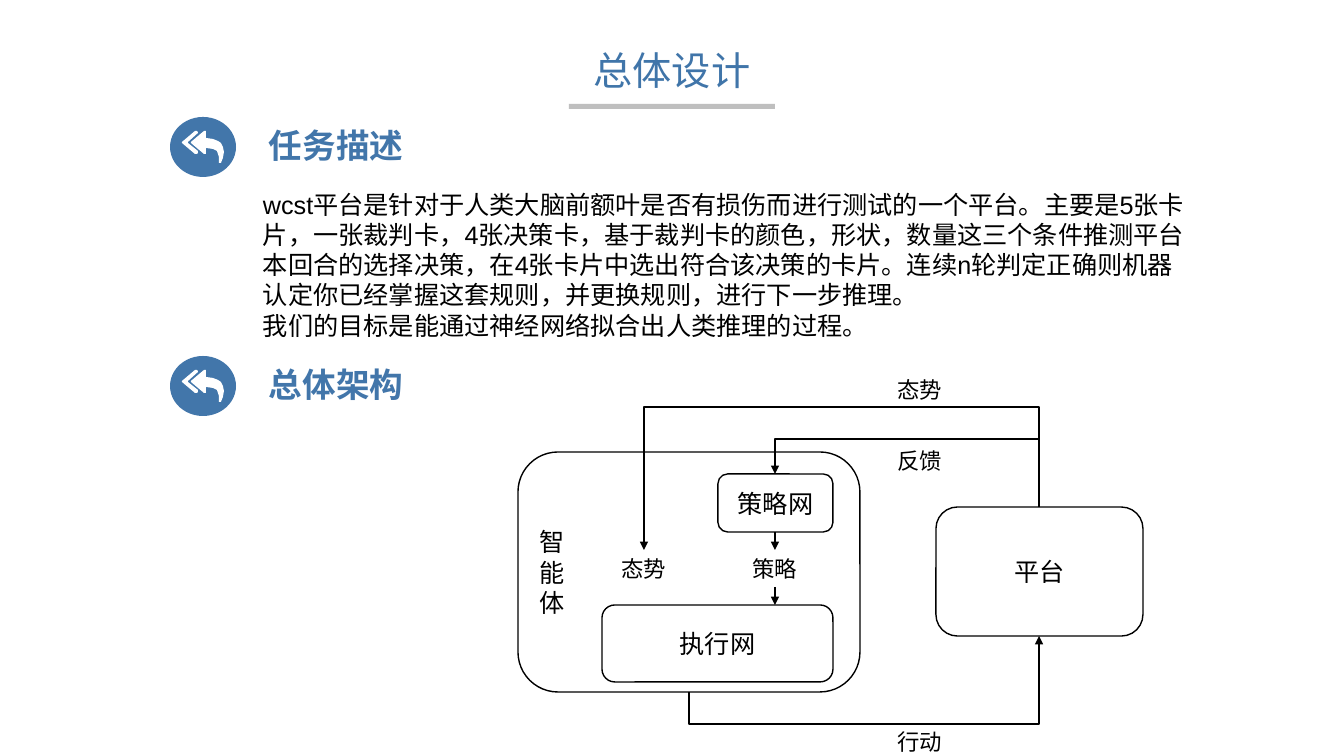
"""Build the overall design slide with its task description and architecture diagram."""
from pptx import Presentation
from pptx.dml.color import RGBColor
from pptx.enum.shapes import MSO_CONNECTOR, MSO_SHAPE
from pptx.enum.text import MSO_ANCHOR, PP_ALIGN
from pptx.oxml.ns import qn
from pptx.util import Pt
from lxml.etree import SubElement

PX = 914400 / 100.8
COLORS = {"title": "4075A9", "accent": "4276AA", "rule": "BFBFBF", "ink": "000000", "paper": "FFFFFF"}
RGB = {name: RGBColor.from_string(value) for name, value in COLORS.items()}

prs = Presentation()
prs.slide_width, prs.slide_height = round(1344 * PX), round(756 * PX)
s = prs.slides.add_slide(prs.slide_layouts[6])


def add_text(text, box, size=18, color="ink", bold=False, align=PP_ALIGN.LEFT,
             anchor=MSO_ANCHOR.TOP, inset=(10, 5), wrap=True, spacing=None, outlined=False):
    place = [round(v * PX) for v in box]
    if outlined:
        sp = s.shapes.add_shape(MSO_SHAPE.ROUNDED_RECTANGLE, *place)
        sp.shadow.inherit = False
        sp.fill.background()
        sp.line.color.rgb = RGB["ink"]
        sp.line.width = Pt(1)
    else:
        sp = s.shapes.add_textbox(*place)
    tf = sp.text_frame
    tf.word_wrap = wrap
    tf.vertical_anchor = anchor
    tf.margin_left = tf.margin_right = round(inset[0] * PX)
    tf.margin_top = tf.margin_bottom = round(inset[1] * PX)
    for i, line in enumerate(text.split("\n")):
        p = tf.paragraphs[0] if i == 0 else tf.add_paragraph()
        p.alignment = align
        p.line_spacing = spacing
        r = p.add_run()
        r.text = line
        r.font.name = "Arial"
        r.font.size = Pt(size)
        r.font.bold = bold
        r.font.color.rgb = RGB[color]


def add_arrow(start, end, bend=None, turn=0, flips=()):
    (x1, y1), (x2, y2) = start, end
    kind, ends = MSO_CONNECTOR.STRAIGHT, (x1, y1, x2, y2)
    if bend is not None:
        kind = MSO_CONNECTOR.ELBOW
        cx, cy, half_w, half_h = (x1 + x2) / 2, (y1 + y2) / 2, abs(y2 - y1) / 2, abs(x2 - x1) / 2
        ends = cx - half_w, cy - half_h, cx + half_w, cy + half_h
    line = s.shapes.add_connector(kind, *[round(v * PX) for v in ends])
    line.line.color.rgb = RGB["ink"]
    line.line.width = Pt(1)
    SubElement(line.line._get_or_add_ln(), qn("a:tailEnd"), type="triangle")
    spPr = line._element.spPr
    SubElement(spPr, qn("a:effectLst"))
    if bend is not None:
        xfrm = spPr.find(qn("a:xfrm"))
        xfrm.set("rot", str(turn * 60000))
        for flip in flips:
            xfrm.set(flip, "1")
        adjust = round((bend - y1) / (y2 - y1) * 100000)
        SubElement(spPr.find(qn("a:prstGeom")).find(qn("a:avLst")), qn("a:gd"),
                   name="adj1", fmla=f"val {adjust}")


add_text("总体设计", (374, 22, 596, 73), size=28, color="title", align=PP_ALIGN.CENTER,
         anchor=MSO_ANCHOR.MIDDLE, spacing=1.5)
rule = s.shapes.add_shape(MSO_SHAPE.RECTANGLE, *[round(v * PX) for v in (569, 104, 206, 5)])
rule.shadow.inherit = False
rule.fill.solid()
rule.fill.fore_color.rgb = RGB["rule"]
rule.line.fill.background()

CHEVRON = [(29, 36), (28, 37), (26, 37), (13, 26), (13, 25), (26, 14), (28, 14), (29, 15),
           (29, 16), (19, 25), (19, 26), (29, 34)]
REPLY = [(52, 46), (50, 46), (50, 40), (48, 34), (44, 32), (37, 31), (37, 37), (35, 37),
         (22, 26), (22, 25), (35, 14), (37, 14), (37, 21), (44, 22), (49, 24), (52, 26),
         (54, 30), (55, 35), (54, 41)]
for heading, top in (("任务描述", 117), ("总体架构", 356)):
    disc = s.shapes.add_shape(MSO_SHAPE.OVAL, *[round(v * PX) for v in (170, top, 66, 60)])
    fb = s.shapes.build_freeform(*CHEVRON[0], scale=PX)
    fb.add_line_segments(CHEVRON[1:])
    fb.move_to(*REPLY[0])
    fb.add_line_segments(REPLY[1:])
    icon = fb.convert_to_shape(round(169 * PX), round(top * PX))
    for sp, color in ((disc, "accent"), (icon, "paper")):
        sp.shadow.inherit = False
        sp.fill.solid()
        sp.fill.fore_color.rgb = RGB[color]
        sp.line.fill.background()
    add_text(heading, (253, top + 22, 446, 26), size=24, color="accent", bold=True,
             anchor=MSO_ANCHOR.BOTTOM, inset=(16, 0), wrap=False)

add_text("wcst平台是针对于人类大脑前额叶是否有损伤而进行测试的一个平台。主要是5张卡片，一张裁判卡，"
         "4张决策卡，基于裁判卡的颜色，形状，数量这三个条件推测平台本回合的选择决策，在4张卡片中选出"
         "符合该决策的卡片。连续n轮判定正确则机器认定你已经掌握这套规则，并更换规则，进行下一步推理。\n"
         "我们的目标是能通过神经网络拟合出人类推理的过程。", (253, 184, 948, 194))

for name, box, align in (
    ("智\n能\n体", (518, 452, 342, 240), PP_ALIGN.LEFT),
    ("平台", (936, 507, 207, 129), PP_ALIGN.CENTER),
    ("执行网", (602, 605, 231, 77), PP_ALIGN.CENTER),
    ("策略网", (718, 474, 115, 58), PP_ALIGN.CENTER),
):
    add_text(name, box, align=align, anchor=MSO_ANCHOR.MIDDLE, outlined=True)

for label, x, y in (("态势", 602, 550), ("策略", 733, 550), ("态势", 878, 371),
                    ("反馈", 878, 442), ("行动", 878, 723)):
    add_text(label, (x, y, 84, 37), size=16, align=PP_ALIGN.CENTER)

add_arrow((1039, 507), (775, 474), bend=439, turn=270, flips=("flipV",))
add_arrow((1039, 507), (644, 550), bend=407, turn=270, flips=("flipH", "flipV"))
add_arrow((775, 532), (775, 550))
add_arrow((775, 587), (775, 605))
add_arrow((689, 692), (1039, 636), bend=724, turn=90, flips=("flipH", "flipV"))

prs.save("out.pptx")
